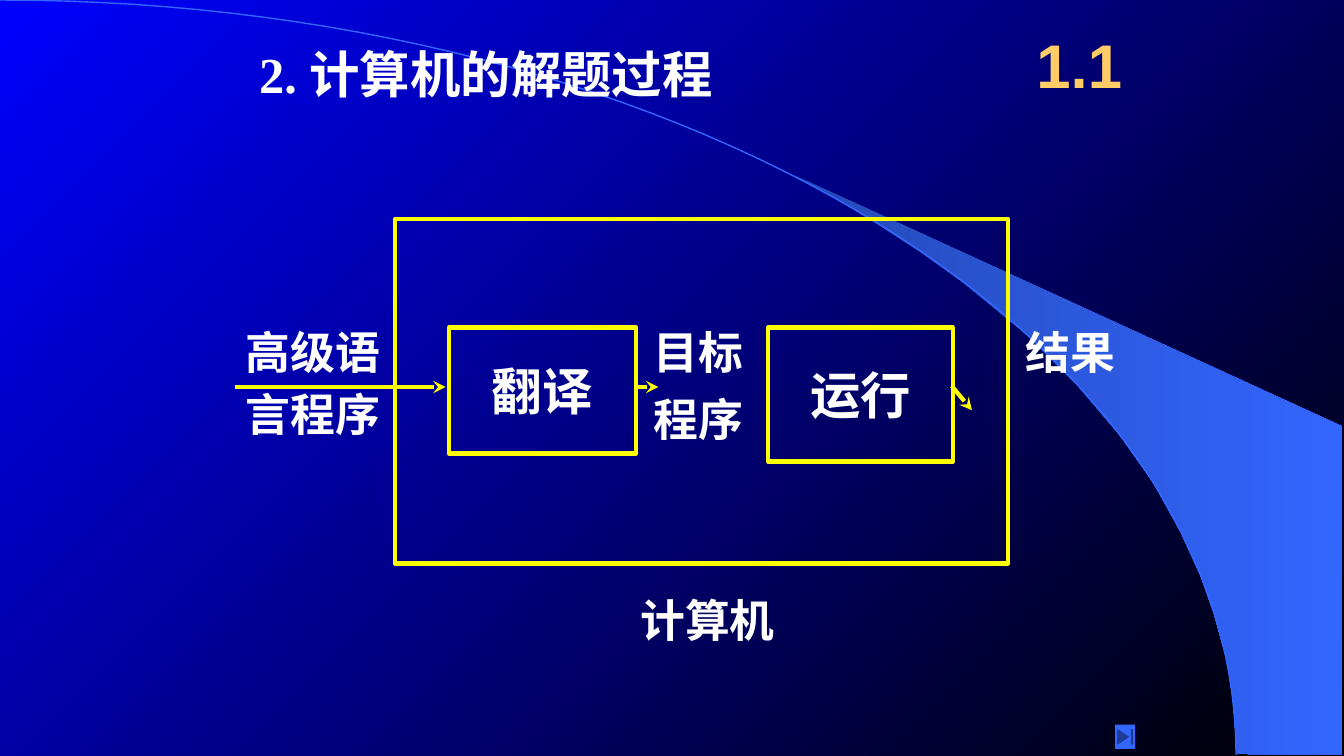
from dataclasses import dataclass

from lxml.etree import SubElement
from pptx import Presentation
from pptx.dml.color import RGBColor
from pptx.enum.shapes import MSO_CONNECTOR, MSO_SHAPE
from pptx.enum.text import MSO_ANCHOR, PP_ALIGN
from pptx.oxml.ns import qn
from pptx.util import Inches, Pt


@dataclass(frozen=True)
class Theme:
    white: RGBColor = RGBColor(0xFF, 0xFF, 0xFF)
    yellow: RGBColor = RGBColor(0xFF, 0xFF, 0x00)
    gold: RGBColor = RGBColor(0xFF, 0xCC, 0x66)
    blue: RGBColor = RGBColor(0x33, 0x66, 0xFF)
    deep_blue: RGBColor = RGBColor(0x24, 0x49, 0xB6)
    sky: RGBColor = RGBColor(0x00, 0x00, 0xFF)
    night: RGBColor = RGBColor(0x00, 0x00, 0x00)
    label_size: int = 32
    title_size: int = 36
    number_size: int = 44
    line_width: int = 3
    chinese: str = "Noto Sans CJK SC"
    serif: str = "Times New Roman"
    sans: str = "Arial"


THEME = Theme()

FAN = [
    (12.27, 7.48), (13.31, 7.49), (13.31, 4.23), (7.86, 1.73), (8.32, 1.99),
    (8.7, 2.22), (9.13, 2.5), (9.55, 2.8), (10.16, 3.3), (10.7, 3.84),
    (11.1, 4.31), (11.44, 4.79), (11.71, 5.28), (11.91, 5.72), (12.04, 6.09),
    (12.17, 6.56), (12.23, 6.96), (12.27, 7.48),
]
ARC = [(0, 0), (6.77, 0), (12.26, 3.35), (12.26, 7.49)]
ARC_STEPS = 60

LABELS = [
    ("计算机", 6.35, 5.88, 1.34),
    ("高级语", 2.44, 3.22, 1.34),
    ("言程序", 2.44, 3.84, 1.34),
    ("目标", 6.48, 3.22, 0.9),
    ("程序", 6.48, 3.89, 0.9),
    ("结果", 10.17, 3.22, 1),
]
ARROWS = [
    ((2.33, 3.84), (4.42, 3.84)),
    ((6.33, 3.84), (6.53, 3.84)),
    ((9.44, 3.83), (9.64, 4.07)),
]


def set_gradient(fill, start, end, angle):
    fill.gradient()
    fill.gradient_angle = angle
    for stop, color, position in zip(fill.gradient_stops, (start, end), (0, 1)):
        stop.color.rgb = color
        stop.position = position


def write_text(frame, text, size, font=THEME.chinese, color=THEME.white,
               align=PP_ALIGN.LEFT):
    para = frame.paragraphs[0]
    para.text = text
    para.alignment = align
    para.font.name = font
    para.font.size = Pt(size)
    para.font.bold = True
    para.font.color.rgb = color
    properties = para._p.pPr.find(qn("a:defRPr"))
    SubElement(properties, qn("a:ea")).set("typeface", THEME.chinese)


def add_text(page, text, left, top, width, height, size, wrap=False,
             anchor=MSO_ANCHOR.TOP, **style):
    box = page.shapes.add_textbox(
        Inches(left), Inches(top), Inches(width), Inches(height))
    frame = box.text_frame
    frame.word_wrap = wrap
    frame.vertical_anchor = anchor
    frame.margin_left = frame.margin_right = 0
    frame.margin_top = frame.margin_bottom = 0
    write_text(frame, text, size, **style)


def add_frame(page, left, top, width, height, text=None):
    box = page.shapes.add_shape(
        MSO_SHAPE.RECTANGLE,
        Inches(left), Inches(top), Inches(width), Inches(height))
    box.shadow.inherit = False
    box.fill.background()
    box.line.color.rgb = THEME.yellow
    box.line.width = Pt(THEME.line_width)
    if text:
        box.text_frame.vertical_anchor = MSO_ANCHOR.MIDDLE
        write_text(box.text_frame, text, THEME.title_size,
                   align=PP_ALIGN.CENTER)


def add_arrow(page, start, end):
    arrow = page.shapes.add_connector(
        MSO_CONNECTOR.STRAIGHT, *map(Inches, start + end))
    arrow.line.color.rgb = THEME.yellow
    arrow.line.width = Pt(THEME.line_width)
    SubElement(arrow.line._get_or_add_ln(), qn("a:tailEnd")).set("type", "stealth")
    SubElement(arrow._element.spPr, qn("a:effectLst"))


def add_outline(page, points, close):
    corners = [(Inches(x), Inches(y)) for x, y in points]
    builder = page.shapes.build_freeform(*corners[0])
    builder.add_line_segments(corners[1:], close=close)
    outline = builder.convert_to_shape()
    outline.shadow.inherit = False
    return outline


def curve_point(controls, t):
    weights = ((1 - t) ** 3, 3 * t * (1 - t) ** 2, 3 * t ** 2 * (1 - t), t ** 3)
    return tuple(sum(w * c for w, c in zip(weights, axis))
                 for axis in zip(*controls))


def add_backdrop(page):
    set_gradient(page.background.fill, THEME.sky, THEME.night, 315)
    fan = add_outline(page, FAN, True)
    set_gradient(fan.fill, THEME.deep_blue, THEME.blue, 0)
    fan.line.fill.background()
    curve = [curve_point(ARC, step / ARC_STEPS) for step in range(ARC_STEPS + 1)]
    arc = add_outline(page, curve, False)
    arc.fill.background()
    arc.line.color.rgb = THEME.blue
    arc.line.width = Pt(1)


def add_end_button(page):
    button = page.shapes.add_shape(
        MSO_SHAPE.ACTION_BUTTON_END,
        Inches(11.06), Inches(7.19), Inches(0.2), Inches(0.24))
    button.shadow.inherit = False
    button.fill.solid()
    button.fill.fore_color.rgb = THEME.blue
    button.line.fill.background()


def main():
    deck = Presentation()
    deck.slide_width = Inches(13.33)
    deck.slide_height = Inches(7.5)
    page = deck.slides.add_slide(deck.slide_layouts[6])

    add_backdrop(page)
    add_frame(page, 3.92, 2.17, 6.08, 3.42)
    for text, left, top, width in LABELS:
        add_text(page, text, left, top, width, 0.54, THEME.label_size)
    for start, end in ARROWS:
        add_arrow(page, start, end)
    add_frame(page, 4.45, 3.25, 1.86, 1.25, "翻译")
    add_frame(page, 7.62, 3.25, 1.83, 1.33, "运行")
    add_text(page, "1.1", 10.08, 0.17, 1.25, 0.92, THEME.number_size, wrap=True,
             anchor=MSO_ANCHOR.MIDDLE, font=THEME.sans, color=THEME.gold,
             align=PP_ALIGN.CENTER)
    add_text(page, "2. 计算机的解题过程", 2.57, 0.43, 6.17, 0.6,
             THEME.title_size, wrap=True, font=THEME.serif)
    add_end_button(page)

    deck.save("out.pptx")


if __name__ == "__main__":
    main()
